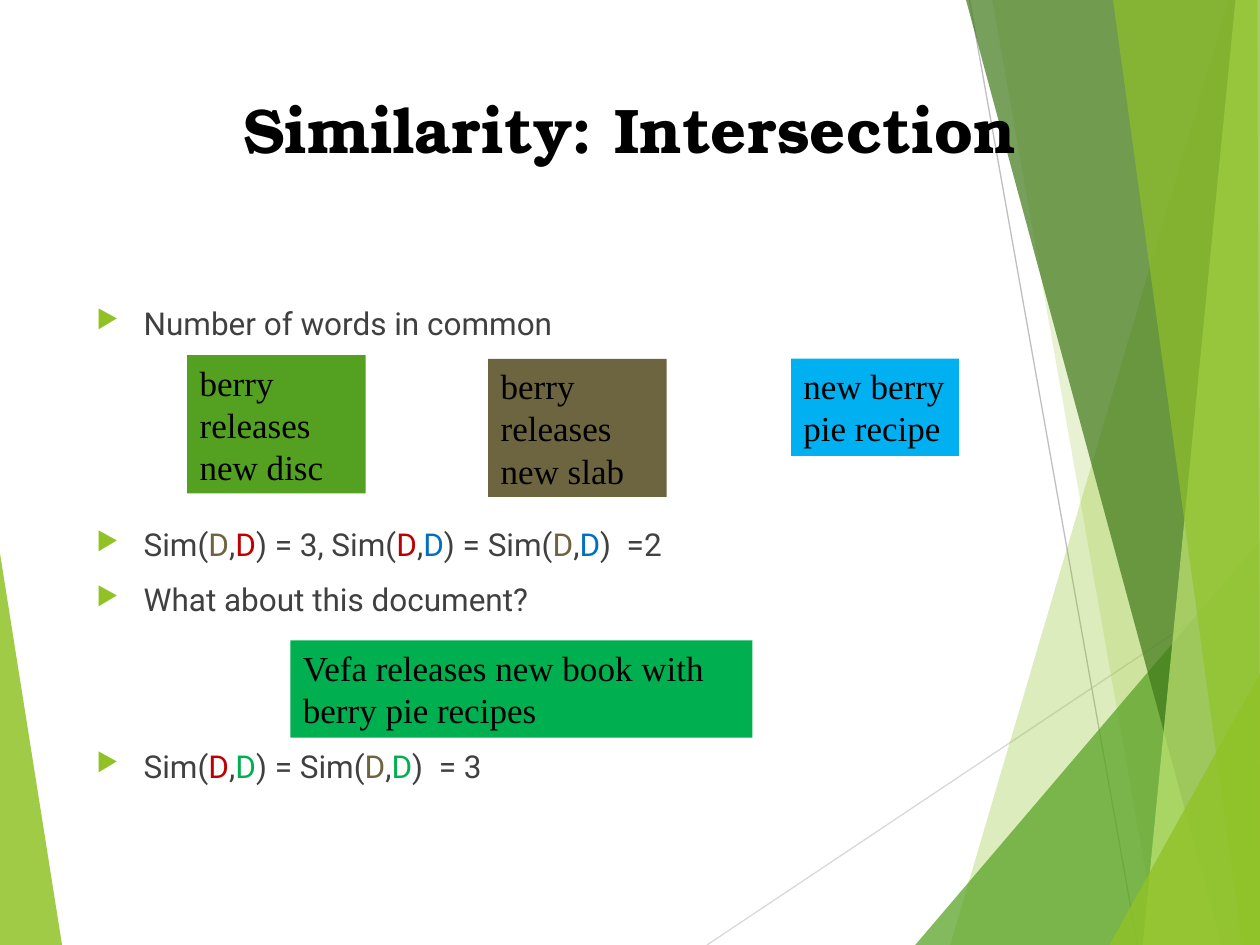
"""Build the slide on document similarity by word intersection."""
from lxml import etree
from pptx import Presentation
from pptx.dml.color import RGBColor
from pptx.enum import shapes, text
from pptx.oxml import ns
from pptx.util import Pt

COLORS = {
    "black": "000000", "body": "404040", "lime": "90C226", "leaf": "54A021",
    "forest": "3F7819", "pale": "C0E474", "olive": "6D6440", "red": "C00000",
    "blue": "0070C0", "sky": "00B0F0", "green": "00B050",
    "light": "D9D9D9", "grey": "BFBFBF",
}
FORMATS = {
    "title": {"name": "TeX Gyre Bonum", "size": Pt(36), "bold": True},
    "body": {"name": "Roboto", "size": Pt(18)},
    "document": {"name": "Times New Roman", "size": Pt(20)},
}
LINES = [
    ((404, 540), (720, 329), "light"),
    ((554, 0), (650, 540), "grey"),
]
FACETS = [
    ([(702, 0), (543, 540), (720, 540), (720, 0)], "lime", 30),
    ([(567, 0), (662, 540), (720, 540), (720, 0)], "lime", 20),
    ([(523, 540), (720, 309), (720, 540)], "leaf", 72),
    ([(552, 0), (698, 540), (720, 540), (720, 0)], "forest", 70),
    ([(706, 0), (653, 540), (720, 540), (720, 0)], "pale", 70),
    ([(636, 0), (710, 540), (720, 540), (718.5, 0)], "lime", 65),
    ([(634, 540), (720, 385), (720, 540)], "lime", 80),
]
LEFT_FACET = ([(0, 316), (35.5, 540), (0, 540)], "lime", 85)
BULLETS = [
    (0, [("Number of words in common", "body")]),
    (105, [("Sim(", "body"), ("D", "olive"), (",", "body"), ("D", "red"),
           (") = 3, Sim(", "body"), ("D", "red"), (",", "body"), ("D", "blue"),
           (") = Sim(", "body"), ("D", "olive"), (",", "body"), ("D", "blue"),
           (")  =2", "body")]),
    (10, [("What about this document?", "body")]),
    (73.5, [("Sim(", "body"), ("D", "red"), (",", "body"), ("D", "green"),
            (") = Sim(", "body"), ("D", "olive"), (",", "body"), ("D", "green"),
            (")  = 3", "body")]),
]
DOCUMENTS = [
    ("berry releases new disc", (107, 203, 102, 79), "leaf"),
    ("berry releases new slab", (279, 205, 102, 79), "olive"),
    ("new berry pie recipe", (452, 205, 96, 55.5), "sky"),
    ("Vefa releases new book with berry pie recipes", (166, 366, 264, 55.5), "green"),
]


def rgb(name):
    """Return the named colour."""
    return RGBColor.from_string(COLORS[name])


def add_xml(parent, tag, **attrs):
    """Append a DrawingML element and return it."""
    return etree.SubElement(parent, ns.qn(tag), attrs)


def paint(sp, color):
    """Give a shape a plain fill without line or shadow."""
    sp.shadow.inherit = False
    sp.fill.solid()
    sp.fill.fore_color.rgb = rgb(color)
    sp.line.fill.background()


def add_run(p, words, style, color):
    """Add a formatted run to a paragraph."""
    r = p.add_run()
    r.text = words
    for key, value in FORMATS[style].items():
        setattr(r.font, key, value)
    r.font.color.rgb = rgb(color)


def add_facet(s, points, color, opacity):
    """Draw a translucent polygon."""
    (x, y), *rest = [(Pt(px), Pt(py)) for px, py in points]
    builder = s.shapes.build_freeform(x, y)
    builder.add_line_segments(rest)
    sp = builder.convert_to_shape()
    paint(sp, color)
    clr = sp.element.spPr.find(".//" + ns.qn("a:srgbClr"))
    add_xml(clr, "a:alpha", val=str(opacity * 1000))


def add_line(s, start, end, color):
    """Draw a thin straight line."""
    ends = [Pt(v) for v in start + end]
    line = s.shapes.add_connector(shapes.MSO_CONNECTOR.STRAIGHT, *ends)
    line.line.color.rgb = rgb(color)
    line.line.width = Pt(0.75)
    add_xml(line.element.spPr, "a:effectLst")


def add_title(s, words):
    """Place the title in front of the facets."""
    sp = s.shapes.title
    sp.left, sp.top, sp.width, sp.height = Pt(0), Pt(48), Pt(720), Pt(72)
    sp.element.getparent().append(sp.element)
    tf = sp.text_frame
    tf.vertical_anchor = text.MSO_ANCHOR.TOP
    p = tf.paragraphs[0]
    p.alignment = text.PP_ALIGN.CENTER
    add_run(p, words, "title", "black")


def add_bullet(p):
    """Set a hanging triangle bullet on a paragraph."""
    pPr = p._p.get_or_add_pPr()
    pPr.set("marL", str(Pt(27)))
    pPr.set("indent", str(-Pt(27)))
    add_xml(add_xml(pPr, "a:buClr"), "a:srgbClr", val=COLORS["lime"])
    add_xml(pPr, "a:buSzPct", val="80000")
    add_xml(pPr, "a:buChar", char="▶")


def add_bullets(s, bullets):
    """Add the bulleted body text."""
    tf = s.shapes.add_textbox(Pt(48), Pt(170), Pt(500), Pt(305)).text_frame
    tf.word_wrap = True
    for i, (gap, runs) in enumerate(bullets):
        p = tf.add_paragraph() if i else tf.paragraphs[0]
        if gap:
            p.space_before = Pt(gap)
        add_bullet(p)
        for words, color in runs:
            add_run(p, words, "body", color)


def add_document(s, words, box, color):
    """Add a coloured box holding a document's words."""
    sp = s.shapes.add_shape(shapes.MSO_SHAPE.RECTANGLE, *[Pt(v) for v in box])
    paint(sp, color)
    tf = sp.text_frame
    tf.word_wrap = True
    tf.auto_size = text.MSO_AUTO_SIZE.SHAPE_TO_FIT_TEXT
    tf.vertical_anchor = text.MSO_ANCHOR.TOP
    p = tf.paragraphs[0]
    p.alignment = text.PP_ALIGN.LEFT
    add_run(p, words, "document", "black")


def main():
    """Build and save the slide."""
    prs = Presentation()
    prs.slide_width, prs.slide_height = Pt(720), Pt(540)
    s = prs.slides.add_slide(prs.slide_layouts[5])
    add_facet(s, *LEFT_FACET)
    for line in LINES:
        add_line(s, *line)
    for facet in FACETS:
        add_facet(s, *facet)
    add_title(s, "Similarity: Intersection")
    add_bullets(s, BULLETS)
    for document in DOCUMENTS:
        add_document(s, *document)
    prs.save("out.pptx")


if __name__ == "__main__":
    main()
